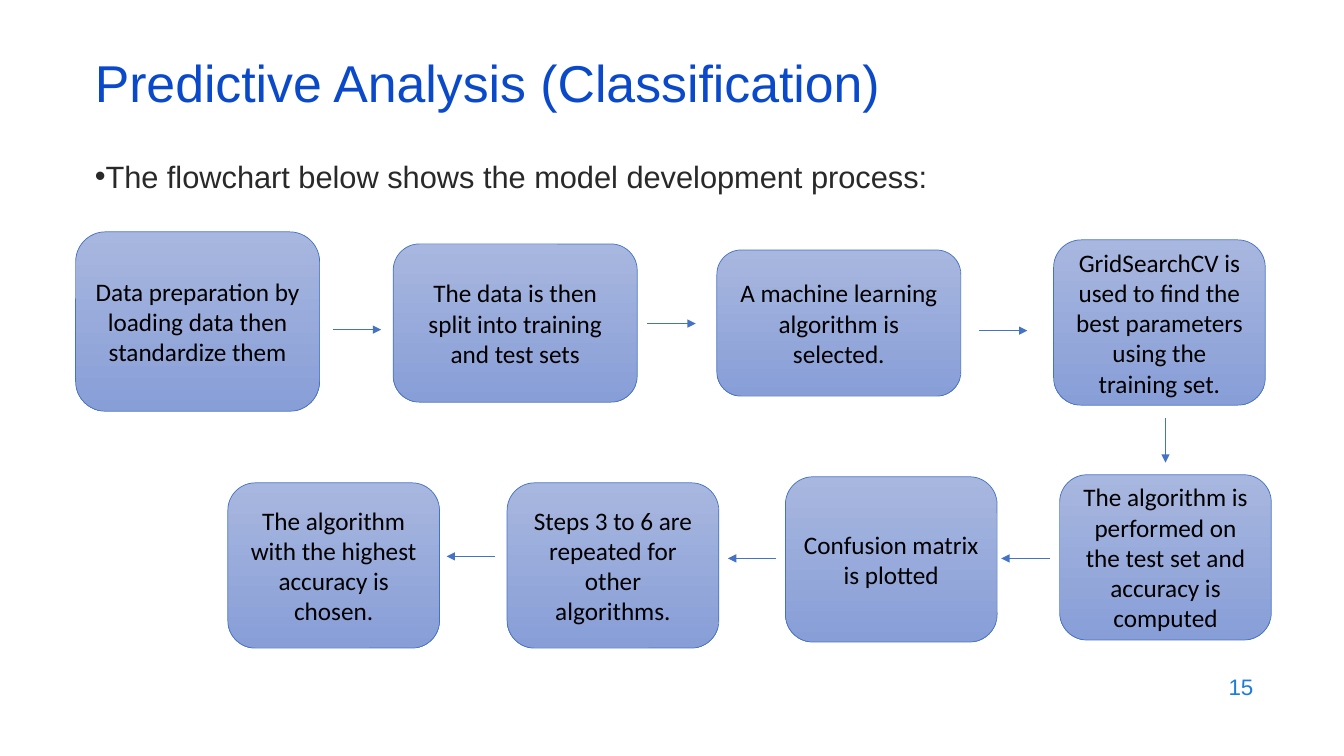
"""Build the slide on the steps of predictive analysis by classification."""
from dataclasses import dataclass

from lxml import etree
from pptx import Presentation
from pptx.dml.color import RGBColor
from pptx.enum.shapes import MSO_CONNECTOR, MSO_SHAPE
from pptx.enum.text import MSO_ANCHOR, MSO_AUTO_SIZE, PP_ALIGN
from pptx.oxml.ns import qn
from pptx.util import Inches, Pt

LEFT, CENTER, RIGHT = PP_ALIGN.LEFT, PP_ALIGN.CENTER, PP_ALIGN.RIGHT
TOP, MIDDLE = MSO_ANCHOR.TOP, MSO_ANCHOR.MIDDLE
NO_FIT = MSO_AUTO_SIZE.NONE
ROUND = MSO_SHAPE.ROUNDED_RECTANGLE
STRAIGHT = MSO_CONNECTOR.STRAIGHT

COLORS = {
    "title": "0B49CB",
    "body": "292929",
    "number": "1C7DDB",
    "step": "000000",
    "light": "A8B7DF",
    "dark": "889ED7",
    "line": "4472C4",
}
WIDE, SMALL, TALL = 2.42, 2.1, 1.64


@dataclass
class Step:
    text: str
    left: float
    top: float
    width: float = SMALL
    height: float = TALL


@dataclass
class Arrow:
    left: float
    top: float
    across: float = 0
    down: float = 0


STEPS = [
    Step("Data preparation by loading data then standardize them", 0.75, 2.3, WIDE, 1.78),
    Step("The data is then split into training and test sets", 3.9, 2.42, WIDE, 1.57),
    Step("A machine learning algorithm is selected.", 7.11, 2.48, WIDE, 1.45),
    Step("GridSearchCV is used to find the best parameters using the training set.", 10.45, 2.38),
    Step("The algorithm is performed on the test set and accuracy is computed", 10.51, 4.71),
    Step("Confusion matrix is plotted", 7.79, 4.73),
    Step("Steps 3 to 6 are repeated for other algorithms.", 5.03, 4.79),
    Step("The algorithm with the highest accuracy is chosen.", 2.26, 4.79),
]
REACH = 0.48
ARROWS = [
    Arrow(3.3, 3.27, REACH),
    Arrow(6.42, 3.21, REACH),
    Arrow(9.71, 3.28, REACH),
    Arrow(11.56, 4.15, down=0.44),
    Arrow(10.41, 5.54, -REACH),
    Arrow(7.7, 5.54, -REACH),
    Arrow(4.91, 5.52, -REACH),
]


def color(name: str) -> RGBColor:
    """Return a named color."""
    return RGBColor.from_string(COLORS[name])


def place(shape, left: float, top: float, width: float, height: float) -> None:
    """Move and size a shape in inches."""
    shape.left, shape.top = Inches(left), Inches(top)
    shape.width, shape.height = Inches(width), Inches(height)


def write(shape, text: str, size: float, tint: str, align=LEFT,
          anchor=MIDDLE, font: str = "Arial"):
    """Write one run of text and return its paragraph."""
    frame = shape.text_frame
    frame.word_wrap = True
    frame.auto_size = NO_FIT
    frame.vertical_anchor = anchor
    para = frame.paragraphs[0]
    para.alignment = align
    para.space_before = Pt(0)
    run = para.add_run()
    run.text = text
    run.font.size = Pt(size)
    run.font.name = font
    run.font.color.rgb = color(tint)
    return para


def draw_step(slide, step: Step) -> None:
    """Draw one shaded step of the flowchart."""
    box = slide.shapes.add_shape(ROUND, 0, 0, 0, 0)
    place(box, step.left, step.top, step.width, step.height)
    box.shadow.inherit = False
    box.fill.gradient()
    box.fill.gradient_angle = 270
    for stop, name in zip(box.fill.gradient_stops, ("light", "dark")):
        stop.color.rgb = color(name)
    box.line.color.rgb = color("line")
    box.line.width = Pt(0.5)
    write(box, step.text, 18, "step", CENTER, font="Calibri")


def draw_arrow(slide, arrow: Arrow) -> None:
    """Draw one arrow between steps."""
    link = slide.shapes.add_connector(
        STRAIGHT, Inches(arrow.left), Inches(arrow.top),
        Inches(arrow.left + arrow.across), Inches(arrow.top + arrow.down))
    link.line.color.rgb = color("line")
    link.line.width = Pt(0.5)
    etree.SubElement(link.line._get_or_add_ln(), qn("a:tailEnd"), type="triangle")
    etree.SubElement(link._element.spPr, qn("a:effectLst"))


def main() -> None:
    """Build and save the slide."""
    deck = Presentation()
    deck.slide_width, deck.slide_height = Inches(13.33), Inches(7.5)
    slide = deck.slides.add_slide(deck.slide_layouts[1])
    title, body = slide.placeholders

    place(title, 0.84, 0.59, 11.5, 0.6)
    para = write(title, "Predictive Analysis (Classification)", 37, "title")
    para.line_spacing = 0.7

    place(body, 0.84, 1.51, 10.66, 0.6)
    para = write(body, "The flowchart below shows the model development process:",
                 22, "body", anchor=TOP)
    props = para._p.get_or_add_pPr()
    props.set("marL", "0")
    props.set("indent", "0")
    etree.SubElement(props, qn("a:buChar"), char="•")

    for step in STEPS:
        draw_step(slide, step)
    for arrow in ARROWS:
        draw_arrow(slide, arrow)

    number = slide.shapes.add_textbox(0, 0, 0, 0)
    place(number, 9.53, 6.59, 3, 0.44)
    write(number, "15", 16, "number", RIGHT)
    deck.save("out.pptx")


if __name__ == "__main__":
    main()
